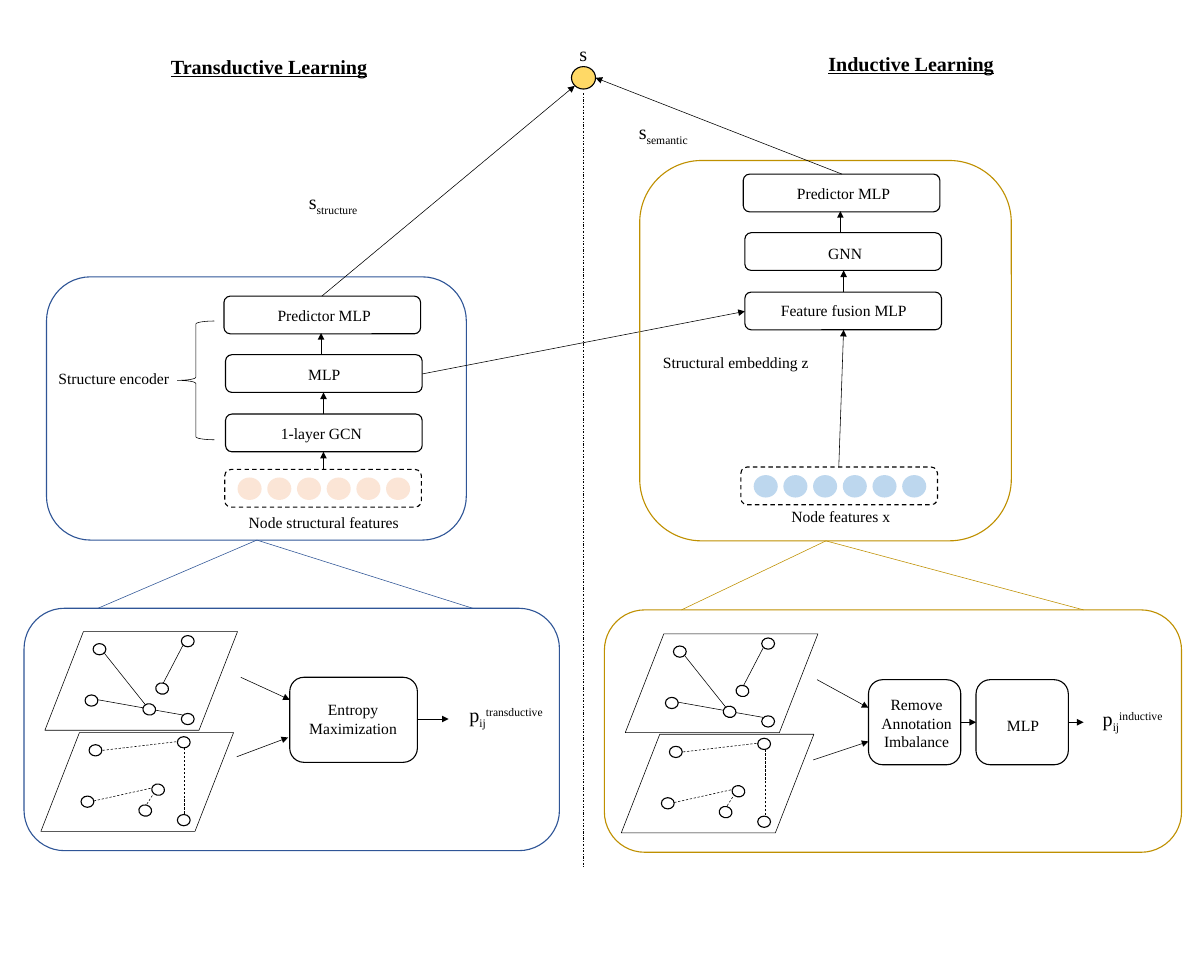
from lxml.etree import SubElement
from pptx import Presentation
from pptx.dml.color import RGBColor
from pptx.enum.dml import MSO_LINE
from pptx.enum.shapes import MSO_CONNECTOR, MSO_SHAPE
from pptx.enum.text import MSO_ANCHOR, MSO_AUTO_SIZE, PP_ALIGN
from pptx.oxml.ns import qn
from pptx.util import Inches, Pt

COLUMNS, ROWS = 15, 12
WIDTH, HEIGHT = Inches(15), Inches(12)
FONT = "Times New Roman"
BLACK, WHITE, BLUE, GOLD = "000000", "FFFFFF", "2F5597", "BF9000"
PEACH, SKY, YELLOW = "FBE5D6", "BDD7EE", "FFD966"
BLOCK = (2.45, 0.47)
DOT = (0.3, 0.28)
NODE = (0.16, 0.14)
PLANE = (2.4, 1.23)
NODES = [(0.6, 0.15, 0), (0.5, 0.79, 0), (1.22, 0.9, 11.7),
         (1.7, 0.05, 0), (1.7, 1.02, 0), (1.38, 0.64, 11.7)]
KNOWN_EDGES = [((0.74, 0.27), (1.25, 0.91)), ((1.47, 0.65), (1.72, 0.17)),
               ((1.38, 0.98), (1.72, 1.04)), ((0.66, 0.85), (1.22, 0.95))]
PREDICTED_EDGES = [((0.77, 0.22), (1.71, 0.11)), ((1.32, 0.89), (1.39, 0.78)),
                   ((1.79, 1.01), (1.79, 0.18)), ((0.66, 0.85), (1.38, 0.69))]


def color(hex_text):
    """Turn a hex string into a colour."""
    return RGBColor.from_string(hex_text)


def across(columns):
    """Convert grid columns to a length."""
    return int(WIDTH * columns / COLUMNS)


def down(rows):
    """Convert grid rows to a length."""
    return int(HEIGHT * rows / ROWS)


def frame(left, top, width, height):
    """Convert a grid rectangle to slide lengths."""
    return across(left), down(top), across(width), down(height)


def style_line(line, hex_text, weight, dash=None):
    """Set the colour, weight and dash of a line."""
    line.color.rgb = color(hex_text)
    line.width = Pt(weight)
    if dash:
        line.dash_style = dash


def add_outline(slide, kind, place, size, fill=None, line=BLACK, weight=1, dash=None):
    """Add a preset shape with an optional fill and line."""
    shape = slide.shapes.add_shape(kind, *frame(*place, *size))
    shape.shadow.inherit = False
    if fill:
        shape.fill.solid()
        shape.fill.fore_color.rgb = color(fill)
    else:
        shape.fill.background()
    if line:
        style_line(shape.line, line, weight, dash)
    else:
        shape.line.fill.background()
    return shape


def add_line(slide, start, end, line=BLACK, dash=None, arrow=False):
    """Add a thin straight line, with an arrowhead at its end if asked."""
    connector = slide.shapes.add_connector(
        MSO_CONNECTOR.STRAIGHT, across(start[0]), down(start[1]), across(end[0]), down(end[1]))
    style_line(connector.line, line, 0.5, dash)
    if arrow:
        SubElement(connector.line._get_or_add_ln(), qn("a:tailEnd"), type="triangle")
    SubElement(connector._element.spPr, qn("a:effectLst"))


def add_run(paragraph, text, size, baseline=0, heading=False):
    """Add one run, raised or lowered by a baseline percentage."""
    run = paragraph.add_run()
    run.text = text
    run.font.name = FONT
    run.font.size = Pt(size)
    run.font.color.rgb = color(BLACK)
    run.font.bold = run.font.underline = heading
    if baseline:
        run._r.get_or_add_rPr().set("baseline", str(baseline * 1000))


def add_label(slide, place, size, *parts, points=14, wrap=False, align=PP_ALIGN.LEFT):
    """Add a text box from (text, baseline) parts."""
    box = slide.shapes.add_textbox(*frame(*place, *size))
    box.text_frame.word_wrap = wrap
    box.text_frame.auto_size = MSO_AUTO_SIZE.SHAPE_TO_FIT_TEXT
    paragraph = box.text_frame.paragraphs[0]
    paragraph.alignment = align
    for text, baseline in parts:
        add_run(paragraph, text, points, baseline)


def set_heading(placeholder, text, place, size):
    """Move a placeholder and format it as a side heading."""
    placeholder.left, placeholder.top, placeholder.width, placeholder.height = frame(*place, *size)
    text_frame = placeholder.text_frame
    text_frame.word_wrap = False
    text_frame.auto_size = MSO_AUTO_SIZE.NONE
    text_frame.vertical_anchor = MSO_ANCHOR.TOP
    paragraph = text_frame.paragraphs[0]
    paragraph.alignment = PP_ALIGN.LEFT
    paragraph.space_before = Pt(0)
    add_run(paragraph, text, 18, heading=True)


def add_block(slide, place, text, text_place, text_width):
    """Add a network layer with its label."""
    add_outline(slide, MSO_SHAPE.ROUNDED_RECTANGLE, place, BLOCK)
    add_label(slide, text_place, (text_width, 0.34), (text, 0))


def add_step(slide, place, size, text, text_place, text_size):
    """Add a processing step with centred text."""
    add_outline(slide, MSO_SHAPE.ROUNDED_RECTANGLE, place, size)
    add_label(slide, text_place, text_size, (text, 0), wrap=True, align=PP_ALIGN.CENTER)


def add_features(slide, left, top, fill):
    """Add a dashed box holding six feature dots."""
    add_outline(slide, MSO_SHAPE.ROUNDED_RECTANGLE, (left, top), BLOCK, dash=MSO_LINE.DASH)
    for index in range(6):
        add_outline(slide, MSO_SHAPE.OVAL, (left + 0.16 + 0.37 * index, top + 0.1), DOT, fill, None)


def add_graph(slide, left, top, edges, dash=None):
    """Add a graph plane with its nodes and edges."""
    add_outline(slide, MSO_SHAPE.FLOWCHART_DATA, (left, top), PLANE, WHITE, weight=0.5)
    for x, y, angle in NODES:
        add_outline(slide, MSO_SHAPE.OVAL, (left + x, top + y), NODE).rotation = angle
    for (x1, y1), (x2, y2) in edges:
        add_line(slide, (left + x1, top + y1), (left + x2, top + y2), dash=dash)


def add_panels(slide, model, model_size, sampling, sampling_size, apex, feet, line):
    """Add a model panel opening onto its sampling panel."""
    for place, size in ((model, model_size), (sampling, sampling_size)):
        add_outline(slide, MSO_SHAPE.ROUNDED_RECTANGLE, place, size, line=line)
    for foot in feet:
        add_line(slide, apex, (foot, sampling[1]), line)


def add_arrows(slide, arrows):
    """Add an arrow for each pair of points."""
    for start, end in arrows:
        add_line(slide, start, end, arrow=True)


def add_transductive(slide):
    """Draw the transductive half."""
    add_panels(slide, (0.58, 3.45), (5.23, 3.28), (0.3, 7.58), (6.67, 3.02),
               (3.2, 6.73), (1.22, 5.89), BLUE)
    add_features(slide, 2.8, 5.85, PEACH)
    add_label(slide, (3, 6.34), (2.09, 0.34), ("Node structural features", 0))
    add_block(slide, (2.81, 5.16), "1-layer GCN", (3.4, 5.23), 1.22)
    add_block(slide, (2.81, 4.42), "MLP", (3.74, 4.5), 0.61)
    add_block(slide, (2.79, 3.69), "Predictor MLP", (3.36, 3.76), 1.37)
    add_label(slide, (0.63, 4.55), (1.59, 0.34), ("Structure encoder", 0))
    add_outline(slide, MSO_SHAPE.LEFT_BRACE, (2.21, 4), (0.46, 1.48), weight=0.5)
    add_label(slide, (3.75, 2.31), (0.89, 0.4), ("s", 0), ("structure", -25), points=18)
    add_graph(slide, 0.56, 7.87, KNOWN_EDGES)
    add_graph(slide, 0.51, 9.13, PREDICTED_EDGES, MSO_LINE.DASH)
    add_step(slide, (3.61, 8.44), (1.59, 1.06), "Entropy Maximization", (3.65, 8.67), (1.5, 0.57))
    add_label(slide, (5.75, 8.71), (1.56, 0.4), ("p", 0), ("ij", -25), ("transductive", 30),
              points=18, wrap=True)
    add_arrows(slide, [((4.03, 5.85), (4.03, 5.63)), ((4.03, 5.16), (4.03, 4.89)),
                       ((4, 4.42), (4, 4.15)), ((4.01, 3.69), (7.16, 1.07)),
                       ((5.26, 4.66), (9.28, 3.88)), ((3, 8.44), (3.61, 8.72)),
                       ((2.95, 9.43), (3.59, 9.19)), ((5.2, 8.96), (5.59, 8.96))])


def add_inductive(slide):
    """Draw the inductive half."""
    add_panels(slide, (7.97, 2), (4.63, 4.74), (7.53, 7.6), (7.19, 3.02),
               (10.29, 6.74), (8.49, 13.5), GOLD)
    add_features(slide, 9.23, 5.82, SKY)
    add_label(slide, (9.76, 6.27), (1.45, 0.34), ("Node features x", 0))
    add_block(slide, (9.28, 3.64), "Feature fusion MLP", (9.63, 3.7), 1.78)
    add_block(slide, (9.28, 2.9), "GNN", (10.22, 2.99), 0.63)
    add_block(slide, (9.26, 2.17), "Predictor MLP", (9.83, 2.24), 1.37)
    add_label(slide, (8.16, 4.35), (2.03, 0.34), ("Structural embedding z", 0))
    add_label(slide, (7.86, 1.44), (0.9, 0.4), ("s", 0), ("semantic", -25), points=18)
    add_graph(slide, 7.79, 7.9, KNOWN_EDGES)
    add_graph(slide, 7.74, 9.15, PREDICTED_EDGES, MSO_LINE.DASH)
    add_step(slide, (10.82, 8.47), (1.15, 1.06), "Remove Annotation Imbalance",
             (10.67, 8.61), (1.5, 0.81))
    add_step(slide, (12.16, 8.47), (1.15, 1.06), "MLP", (12.27, 8.87), (0.95, 0.34))
    add_label(slide, (13.64, 8.76), (1.56, 0.4), ("p", 0), ("ij", -25), ("inductive", 30),
              points=18, wrap=True)
    add_arrows(slide, [((10.45, 5.82), (10.51, 4.11)), ((10.51, 3.64), (10.51, 3.37)),
                       ((10.47, 2.9), (10.47, 2.63)), ((10.49, 2.17), (7.42, 0.97)),
                       ((10.18, 8.47), (10.82, 8.82)), ((10.13, 9.47), (10.82, 9.24)),
                       ((11.97, 9), (12.16, 9)), ((13.31, 9), (13.5, 9))])


def main():
    """Build the slide and save it."""
    presentation = Presentation()
    presentation.slide_width, presentation.slide_height = WIDTH, HEIGHT
    slide = presentation.slides.add_slide(presentation.slide_layouts.get_by_name("Comparison"))
    holders = {holder.placeholder_format.idx: holder for holder in slide.placeholders}
    set_heading(holders.pop(0), "Transductive Learning", (2.03, 0.63), (2.67, 0.4))
    set_heading(holders.pop(3), "Inductive Learning", (10.22, 0.59), (2.28, 0.4))
    for holder in holders.values():
        holder._element.getparent().remove(holder._element)
    add_line(slide, (7.27, 1.16), (7.27, 10.81), dash=MSO_LINE.DASH_DOT)
    add_transductive(slide)
    add_inductive(slide)
    add_outline(slide, MSO_SHAPE.OVAL, (7.12, 0.83), DOT, YELLOW)
    add_label(slide, (7.12, 0.47), (0.3, 0.4), ("s", 0), points=18, wrap=True)
    presentation.save("out.pptx")


main()
